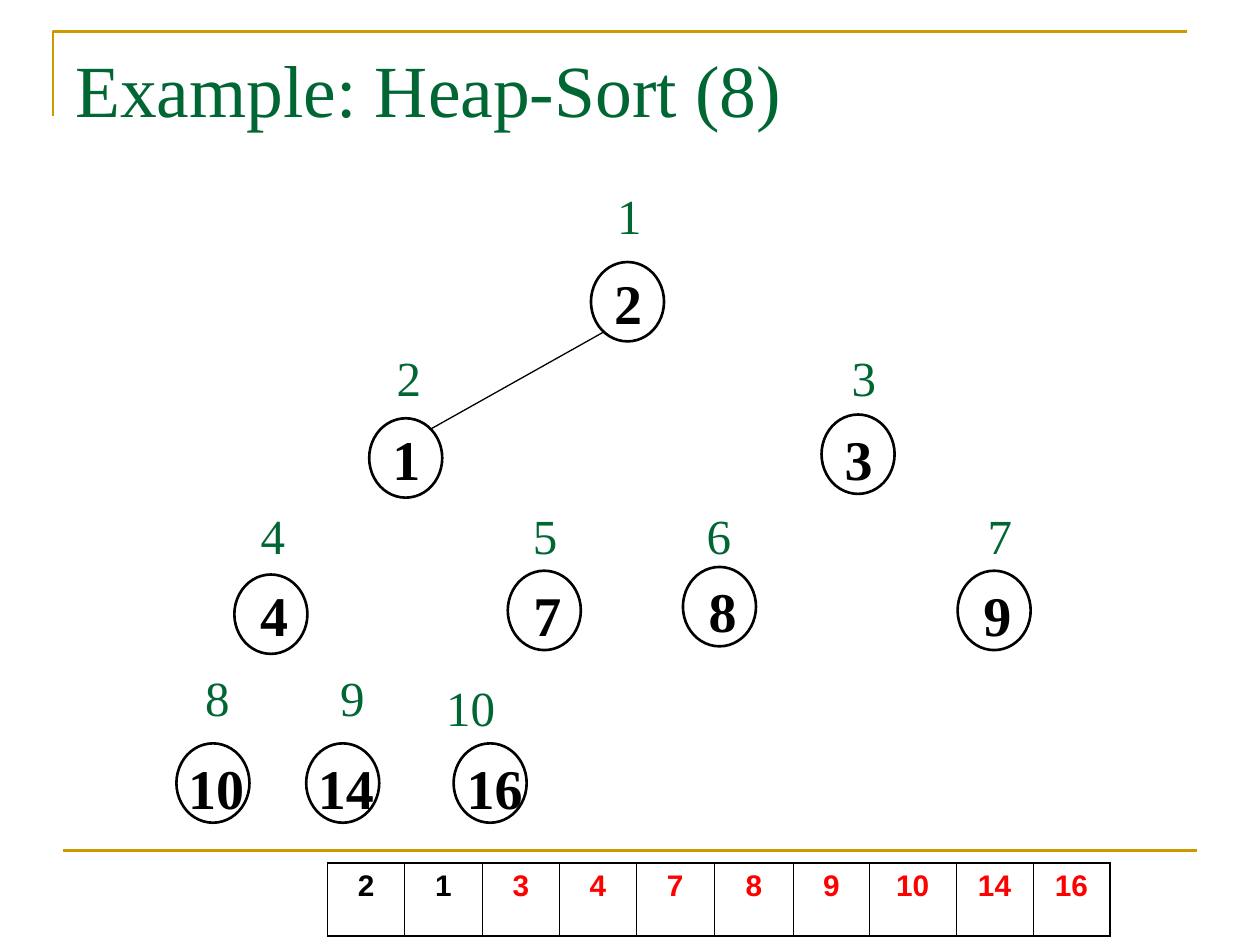
from collections import namedtuple
from dataclasses import dataclass

from lxml import etree
from pptx import Presentation
from pptx.dml.color import RGBColor
from pptx.enum.shapes import MSO_CONNECTOR, MSO_SHAPE
from pptx.enum.text import MSO_ANCHOR, PP_ALIGN
from pptx.oxml.ns import qn
from pptx.util import Inches, Pt

STRAIGHT = MSO_CONNECTOR.STRAIGHT
OVAL = MSO_SHAPE.OVAL
TOP = MSO_ANCHOR.TOP
LEFT, CENTER = PP_ALIGN.LEFT, PP_ALIGN.CENTER


@dataclass(frozen=True)
class Theme:
    serif: str = "Times New Roman"
    sans: str = "Arial"
    green: str = "006633"
    gold: str = "CC9900"
    black: str = "000000"
    red: str = "FF0000"
    title_size: float = 42
    value_size: float = 32
    index_size: float = 28
    cell_size: float = 17
    rule_width: float = 1.5
    edge_width: float = 0.75
    border_outer: float = 1.08
    border_inner: float = 0.45


THEME = Theme()
Node = namedtuple("Node", "value circle value_at index_at")
HEAP = [
    Node(2, (4.69, 2.08), (4.59, 2.08), (4.8, 1.42)),
    Node(1, (2.93, 3.32), (2.83, 3.32), (3.05, 2.71)),
    Node(3, (6.52, 3.29), (6.42, 3.32), (6.66, 2.71)),
    Node(4, (1.86, 4.56), (1.78, 4.56), (1.97, 3.96)),
    Node(7, (4.03, 4.53), (3.95, 4.56), (4.13, 3.96)),
    Node(8, (5.42, 4.5), (5.34, 4.53), (5.51, 3.96)),
    Node(9, (7.6, 4.53), (7.52, 4.56), (7.74, 3.96)),
    Node(10, (1.4, 5.9), (1.32, 5.93), (1.53, 5.25)),
    Node(14, (2.43, 5.9), (2.35, 5.93), (2.6, 5.25)),
    Node(16, (3.6, 5.9), (3.53, 5.93), (3.44, 5.33)),
]
HEAP_SIZE = 2
COLUMN_WIDTHS = [0.61, 0.62, 0.61, 0.61, 0.62, 0.63, 0.6, 0.69, 0.61, 0.61]


def write(frame, text, font, size, color, bold=False, align=CENTER):
    para = frame.paragraphs[0]
    para.alignment = align
    span = para.add_run()
    span.text = text
    span.font.name = font
    span.font.size = Pt(size)
    span.font.bold = bold
    span.font.color.rgb = RGBColor.from_string(color)


def add_text(page, at, size, text, points, color, bold=False, align=CENTER, wrap=True):
    box = page.shapes.add_textbox(*map(Inches, at + size))
    box.text_frame.word_wrap = wrap
    box.text_frame.vertical_anchor = TOP
    write(box.text_frame, text, THEME.serif, points, color, bold, align)


def set_outline(shape, color, width):
    shape.line.color.rgb = RGBColor.from_string(color)
    shape.line.width = Pt(width)


def add_line(page, start, end, color, width):
    line = page.shapes.add_connector(STRAIGHT, *map(Inches, start + end))
    set_outline(line, color, width)
    etree.SubElement(line._element.spPr, qn("a:effectLst"))


def add_title_corner(page):
    builder = page.shapes.build_freeform(Inches(0.42), Inches(0.92))
    corner = [(Inches(0.42), Inches(0.25)), (Inches(9.42), Inches(0.25))]
    builder.add_line_segments(corner, close=False)
    shape = builder.convert_to_shape()
    shape.shadow.inherit = False
    shape.fill.background()
    set_outline(shape, THEME.gold, THEME.rule_width)


def add_circle(page, at):
    circle = page.shapes.add_shape(OVAL, *map(Inches, at + (0.58, 0.63)))
    circle.shadow.inherit = False
    circle.fill.background()
    set_outline(circle, THEME.black, THEME.rule_width)


def add_node(page, index, node):
    add_circle(page, node.circle)
    add_text(page, node.value_at, (0.79, 0.64), str(node.value),
             THEME.value_size, THEME.black, bold=True)
    label_width = 0.39 if index < 10 else 0.59
    add_text(page, node.index_at, (label_width, 0.57), str(index),
             THEME.index_size, THEME.green, wrap=False)


def set_border(cell, side, width):
    border = etree.SubElement(cell._tc.get_or_add_tcPr(), qn(f"a:{side}"), w=str(Pt(width)))
    fill = etree.SubElement(border, qn("a:solidFill"))
    etree.SubElement(fill, qn("a:srgbClr"), val=THEME.black)


def add_array(page):
    count = len(HEAP)
    area = map(Inches, (2.6, 6.85, sum(COLUMN_WIDTHS), 0.58))
    table = page.shapes.add_table(1, count, *area).table
    table.first_row = False
    table.horz_banding = False
    for position, (node, width) in enumerate(zip(HEAP, COLUMN_WIDTHS)):
        table.columns[position].width = Inches(width)
        cell = table.cell(0, position)
        outer_sides = {"lnT", "lnB"}
        if position == 0:
            outer_sides.add("lnL")
        if position == count - 1:
            outer_sides.add("lnR")
        for side in ("lnL", "lnR", "lnT", "lnB"):
            outer = side in outer_sides
            set_border(cell, side, THEME.border_outer if outer else THEME.border_inner)
        cell.fill.background()
        color = THEME.black if position < HEAP_SIZE else THEME.red
        write(cell.text_frame, str(node.value), THEME.sans, THEME.cell_size, color, bold=True)


def main():
    deck = Presentation()
    deck.slide_width, deck.slide_height = Inches(10), Inches(7.5)
    page = deck.slides.add_slide(deck.slide_layouts[6])
    add_title_corner(page)
    add_line(page, (0.5, 6.75), (9.5, 6.75), THEME.gold, THEME.rule_width)
    add_text(page, (0.5, 0.3), (9, 1.25), "Example: Heap-Sort (8)",
             THEME.title_size, THEME.green, align=LEFT)
    add_line(page, (4.8, 2.63), (3.41, 3.41), THEME.black, THEME.edge_width)
    for index, node in enumerate(HEAP, start=1):
        add_node(page, index, node)
    add_array(page)
    deck.save("out.pptx")


if __name__ == "__main__":
    main()
